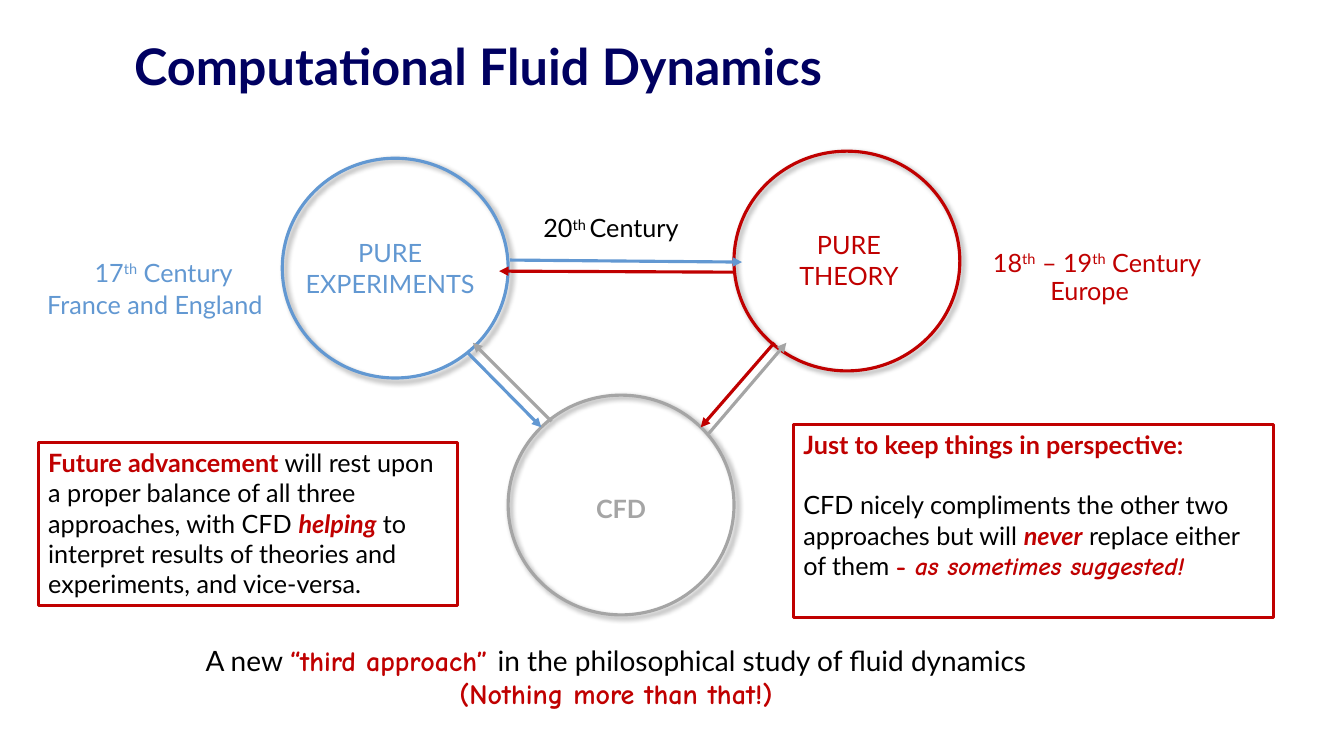
"""Build the Computational Fluid Dynamics slide."""
from dataclasses import dataclass

from lxml.etree import SubElement
from pptx import Presentation
from pptx.dml.color import RGBColor
from pptx.enum.shapes import MSO_CONNECTOR, MSO_SHAPE
from pptx.enum.text import MSO_ANCHOR, MSO_AUTO_SIZE, PP_ALIGN
from pptx.oxml.ns import qn
from pptx.util import Inches, Pt

COLORS = {"navy": "000061", "black": "000000", "blue": "6298D2",
          "red": "C00000", "gray": "A5A5A5"}
SANS, COMIC = "Lato", "Comic Neue"
COL = ROW = Inches(0.1)
LINE_WIDTH = Pt(2.25)
CIRCLE_COLS, CIRCLE_ROWS = 22.4, 21.8


@dataclass(frozen=True)
class Run:
    text: str
    color: str = "black"
    bold: bool = False
    italic: bool = False
    raised: bool = False
    font: str = SANS


@dataclass(frozen=True)
class Box:
    col: float
    row: float
    cols: float
    rows: float
    paragraphs: list[list[Run]]
    size: int = 18
    align: PP_ALIGN = PP_ALIGN.LEFT
    gap: float = 0


@dataclass(frozen=True)
class Circle:
    col: float
    row: float
    color: str


@dataclass(frozen=True)
class Arrow:
    start: tuple[float, float]
    end: tuple[float, float]
    color: str


def century(color: str, *parts: str) -> list[Run]:
    """Alternate plain and raised runs."""
    return [Run(part, color, raised=i % 2 == 1) for i, part in enumerate(parts)]


CIRCLES = [Circle(28, 15.7, "blue"), Circle(72.8, 15, "red"),
           Circle(50.4, 39.2, "gray")]

LABELS = [
    Box(8.7, 63.3, 104.8, 11.1, [
        [Run("A new "), Run("“third approach” ", "red", True, font=COMIC),
         Run("in the philosophical study of fluid dynamics")],
        [Run("(Nothing more than that!)", "red", True, font=COMIC)]],
        20, PP_ALIGN.CENTER),
    Box(29, 23.1, 19.4, 7.1, [[Run("PURE", "blue")], [Run("EXPERIMENTS", "blue")]],
        align=PP_ALIGN.CENTER),
    Box(76.1, 22.3, 16.2, 7.1, [[Run("PURE", "red")], [Run("THEORY", "red")]],
        align=PP_ALIGN.CENTER),
    Box(53.5, 48.4, 16.2, 4, [[Run("CFD", "gray", True)]], align=PP_ALIGN.CENTER),
    Box(8.4, 25, 19.4, 4, [century("blue", "17", "th", " Century")]),
    Box(97.5, 24, 24.7, 4, [century("red", "18", "th", " – 19", "th", " Century")]),
    Box(3.7, 28.2, 24.2, 4, [[Run("France and England", "blue")]]),
    Box(103.2, 26.8, 24.2, 4, [[Run("Europe", "red")]]),
    Box(52.9, 20.6, 19.4, 4, [century("black", "20", "th ", "Century")]),
]

ARROWS = [
    Arrow((50.6, 25.8), (73.6, 26), "blue"),
    Arrow((72.8, 27), (49.5, 26.9), "red"),
    Arrow((76.8, 34), (69.5, 42.4), "red"),
    Arrow((46.4, 35), (53.7, 42.4), "blue"),
    Arrow((54.7, 41.8), (46.9, 34), "gray"),
    Arrow((70.3, 43), (78, 34), "gray"),
]

NOTES = [
    Box(78.7, 42.1, 47.6, 19.2, [
        [Run("Just to keep things in perspective:", "red", True)],
        [Run("CFD nicely compliments the other two approaches but will "),
         Run("never", "red", True, True), Run(" replace either of them "),
         Run("- ", "red", True, font=COMIC),
         Run("as sometimes suggested!", "red", True, True, font=COMIC)]], gap=21.6),
    Box(3.8, 43.9, 41.6, 16.2, [
        [Run("Future advancement ", "red", True),
         Run("will rest upon a proper balance of all three approaches, with CFD "),
         Run("helping", "red", True, True),
         Run(" to interpret results of theories and experiments, and vice-versa.")]]),
]


def rgb(name: str) -> RGBColor:
    """Look up a named colour."""
    return RGBColor.from_string(COLORS[name])


def place(col: float, row: float, cols: float, rows: float) -> tuple[int, ...]:
    """Turn grid cells into lengths."""
    return int(col * COL), int(row * ROW), int(cols * COL), int(rows * ROW)


def add_run(p, run: Run, size: int) -> None:
    """Append one formatted run."""
    r = p.add_run()
    r.text = run.text
    r.font.name, r.font.size = run.font, Pt(size)
    r.font.bold, r.font.italic = run.bold, run.italic
    r.font.color.rgb = rgb(run.color)
    if run.raised:
        r._r.get_or_add_rPr().set("baseline", "30000")


def fill_text(sp, box: Box) -> None:
    """Write the paragraphs of a box."""
    tf = sp.text_frame
    tf.word_wrap = True
    tf.vertical_anchor = MSO_ANCHOR.TOP
    for i, runs in enumerate(box.paragraphs):
        p = tf.add_paragraph() if i else tf.paragraphs[0]
        p.alignment = box.align
        if i and box.gap:
            p.space_before = Pt(box.gap)
        for run in runs:
            add_run(p, run, box.size)


def add_outline(s, kind: MSO_SHAPE, bounds: tuple[int, ...], color: str):
    """Draw an unfilled outlined shape."""
    sp = s.shapes.add_shape(kind, *bounds)
    sp.shadow.inherit = False
    sp.fill.background()
    sp.line.color.rgb, sp.line.width = rgb(color), LINE_WIDTH
    return sp


def add_circle(s, circle: Circle) -> None:
    """Draw a circle with a soft shadow."""
    bounds = place(circle.col, circle.row, CIRCLE_COLS, CIRCLE_ROWS)
    sp = add_outline(s, MSO_SHAPE.OVAL, bounds, circle.color)
    effects = sp._element.spPr.find(qn("a:effectLst"))
    shadow = SubElement(effects, qn("a:outerShdw"), blurRad=str(Pt(4)),
                        dist=str(Pt(3)), dir="2700000", algn="tl", rotWithShape="0")
    tint = SubElement(shadow, qn("a:srgbClr"), val=COLORS["black"])
    SubElement(tint, qn("a:alpha"), val="40000")


def add_arrow(s, arrow: Arrow) -> None:
    """Draw an arrow from start to end."""
    cxn = s.shapes.add_connector(MSO_CONNECTOR.STRAIGHT,
                                 *place(*arrow.start, *arrow.end))
    cxn.line.color.rgb, cxn.line.width = rgb(arrow.color), LINE_WIDTH
    SubElement(cxn.line._get_or_add_ln(), qn("a:tailEnd"), type="triangle")
    SubElement(cxn._element.spPr, qn("a:effectLst"))


def add_title(s) -> None:
    """Move and format the title placeholder."""
    sp = s.shapes.title
    sp.left, sp.top, sp.width, sp.height = place(12.3, 3, 120.2, 6.2)
    tf = sp.text_frame
    tf.auto_size = MSO_AUTO_SIZE.NONE
    tf.margin_top = Inches(0.12)
    fill_text(sp, Box(12.3, 3, 120.2, 6.2, [
        [Run("Computational Fluid Dynamics", "navy", True)]], 36))
    tf.paragraphs[0].line_spacing = 0.9


def main() -> None:
    """Assemble and save the slide."""
    prs = Presentation()
    prs.slide_width, prs.slide_height = Inches(13.33), Inches(7.5)
    s = prs.slides.add_slide(prs.slide_layouts[5])
    add_title(s)
    for circle in CIRCLES:
        add_circle(s, circle)
    for box in LABELS:
        fill_text(s.shapes.add_textbox(*place(box.col, box.row, box.cols, box.rows)), box)
    for arrow in ARROWS:
        add_arrow(s, arrow)
    for box in NOTES:
        bounds = place(box.col, box.row, box.cols, box.rows)
        fill_text(add_outline(s, MSO_SHAPE.RECTANGLE, bounds, "red"), box)
    prs.save("out.pptx")


if __name__ == "__main__":
    main()
